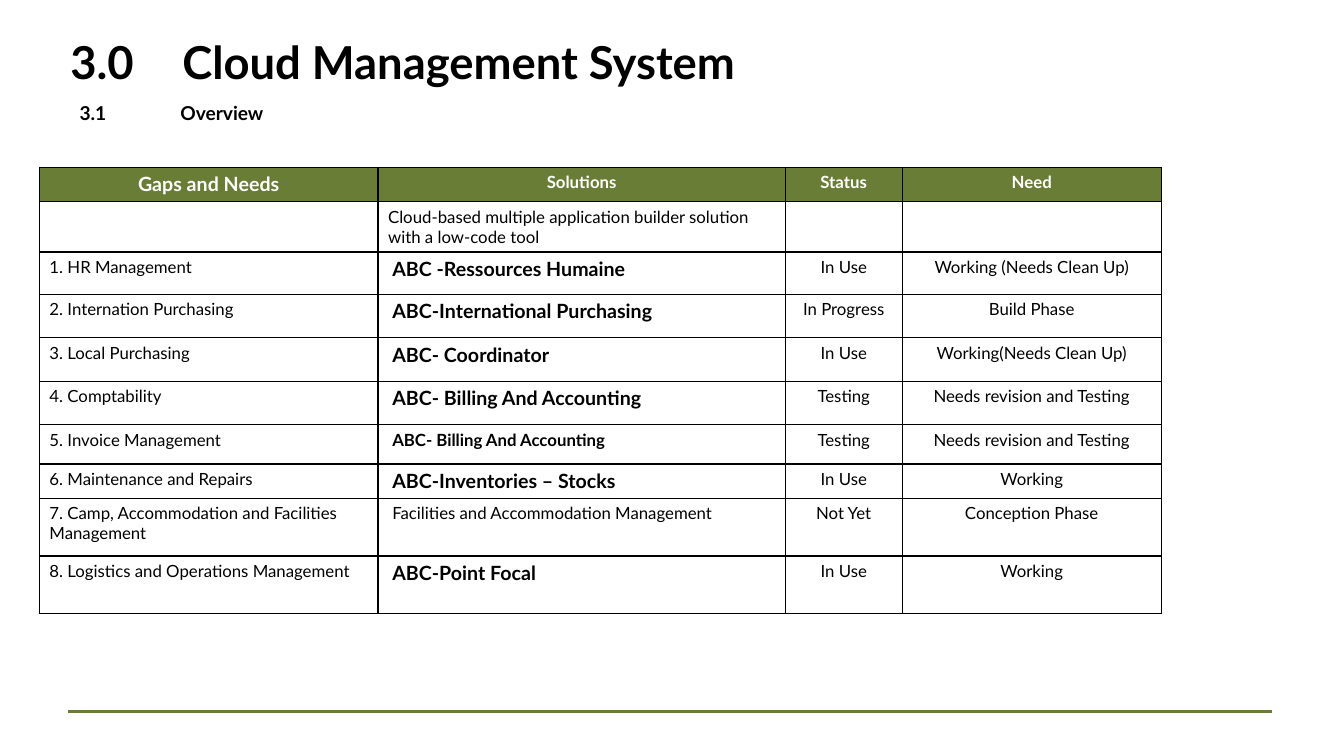
"""Build the Cloud Management System overview slide."""
from dataclasses import dataclass

from lxml.etree import SubElement
from pptx import Presentation
from pptx.dml.color import RGBColor
from pptx.enum.shapes import MSO_CONNECTOR
from pptx.enum.text import MSO_ANCHOR, PP_ALIGN
from pptx.oxml.ns import qn
from pptx.slide import Slide
from pptx.table import _Cell
from pptx.text.text import _Paragraph
from pptx.util import Emu, Inches, Pt

WIDTH, HEIGHT = Inches(13.33), Inches(7.5)
FONT = "Lato"
BLACK, WHITE, OLIVE = "000000", "FFFFFF", "697D36"


@dataclass(frozen=True)
class Heading:
    text: str
    left: float
    top: float
    width: float
    height: float
    size: float
    tab: float


@dataclass(frozen=True)
class Entry:
    height: float
    gap: str
    solution: str
    status: str
    need: str
    size: float = 14
    bold: bool = True
    indent: float = 1.06


HEADINGS = (
    Heading("3.0\tCloud Management System", 4.5, 4.67, 87.4, 8.4, 32.4, 8.33),
    Heading("3.1\tOverview", 5.18, 13.07, 55.7, 5.07, 13.7, 7.5),
)
COLUMN_TITLES = ("Gaps and Needs", "Solutions", "Status", "Need")
COLUMN_WIDTHS = (25.2, 30.3, 8.7, 19.28)
HEADER_HEIGHT = 4.53
ENTRIES = (
    Entry(6.6, "", "Cloud-based multiple application builder solution with a low-code tool",
          "", "", 12, False, 0.75),
    Entry(5.6, "1. HR Management", "ABC -Ressources Humaine",
          "In Use", "Working (Needs Clean Up)"),
    Entry(5.75, "2. Internation Purchasing", "ABC-International Purchasing",
          "In Progress", "Build Phase"),
    Entry(5.75, "3. Local Purchasing", "ABC- Coordinator",
          "In Use", "Working(Needs Clean Up)"),
    Entry(5.75, "4. Comptability", "ABC- Billing And Accounting",
          "Testing", "Needs revision and Testing"),
    Entry(5.2, "5. Invoice Management", "ABC- Billing And Accounting",
          "Testing", "Needs revision and Testing", 12),
    Entry(4.53, "6. Maintenance and Repairs", "ABC-Inventories – Stocks",
          "In Use", "Working"),
    Entry(7.65, "7. Camp, Accommodation and Facilities Management",
          "Facilities and Accommodation Management",
          "Not Yet", "Conception Phase", 12, False),
    Entry(7.65, "8. Logistics and Operations Management", "ABC-Point Focal",
          "In Use", "Working"),
)


def across(percent: float) -> Emu:
    """Return a share of the slide width."""
    return Emu(round(WIDTH * percent / 100))


def down(percent: float) -> Emu:
    """Return a share of the slide height."""
    return Emu(round(HEIGHT * percent / 100))


def color(code: str) -> RGBColor:
    """Turn a hex string into a colour."""
    return RGBColor.from_string(code)


def style(paragraph: _Paragraph, size: float, bold: bool, ink: str = BLACK) -> None:
    """Set the font of a whole paragraph."""
    font = paragraph.font
    font.name, font.size, font.bold = FONT, Pt(size), bold
    font.color.rgb = color(ink)


def add_heading(slide: Slide, heading: Heading) -> None:
    """Draw a numbered heading with its tab stop."""
    box = slide.shapes.add_textbox(across(heading.left), down(heading.top),
                                   across(heading.width), down(heading.height))
    frame = box.text_frame
    frame.word_wrap = True
    frame.vertical_anchor = MSO_ANCHOR.TOP
    paragraph = frame.paragraphs[0]
    paragraph.text = heading.text
    paragraph.line_spacing = 0.9
    tabs = SubElement(paragraph._p.get_or_add_pPr(), qn("a:tabLst"))
    SubElement(tabs, qn("a:tab"), pos=str(across(heading.tab)), algn="l")
    style(paragraph, heading.size, True)


def add_borders(cell: _Cell) -> None:
    """Put a thin black line on each side of a cell, ahead of its fill."""
    properties = cell._tc.get_or_add_tcPr()
    for position, side in enumerate(("lnL", "lnR", "lnT", "lnB")):
        line = SubElement(properties, qn(f"a:{side}"), w=str(Pt(1)))
        fill = SubElement(line, qn("a:solidFill"))
        SubElement(fill, qn("a:srgbClr"), val=BLACK)
        properties.insert(position, line)


def fill_cell(cell: _Cell, text: str, size: float = 12, bold: bool = False,
              centred: bool = False, ink: str = BLACK, back: str = WHITE) -> None:
    """Write and colour one table cell."""
    cell.fill.solid()
    cell.fill.fore_color.rgb = color(back)
    add_borders(cell)
    paragraph = cell.text_frame.paragraphs[0]
    paragraph.text = text
    paragraph.alignment = PP_ALIGN.CENTER if centred else PP_ALIGN.LEFT
    style(paragraph, size, bold, ink)


def add_solutions(slide: Slide) -> None:
    """Draw the table of gaps, solutions, status and needs."""
    heights = (HEADER_HEIGHT, *(entry.height for entry in ENTRIES))
    table = slide.shapes.add_table(
        len(heights), len(COLUMN_WIDTHS), across(2.93), down(22.13),
        across(sum(COLUMN_WIDTHS)), down(sum(heights))).table
    for column, width in zip(table.columns, COLUMN_WIDTHS):
        column.width = across(width)
    for row, height in zip(table.rows, heights):
        row.height = down(height)
    for index, title in enumerate(COLUMN_TITLES):
        fill_cell(table.cell(0, index), title, 12 if index else 14, True, True, WHITE, OLIVE)
    for index, entry in enumerate(ENTRIES, start=1):
        gap, solution, status, need = table.rows[index].cells
        fill_cell(gap, entry.gap)
        fill_cell(solution, entry.solution, entry.size, entry.bold)
        solution.margin_left = across(entry.indent)
        fill_cell(status, entry.status, centred=True)
        fill_cell(need, entry.need, centred=True)


def add_footer_rule(slide: Slide) -> None:
    """Draw the olive line near the bottom of the slide."""
    rule = slide.shapes.add_connector(MSO_CONNECTOR.STRAIGHT, across(5.05), down(94.15),
                                      across(94.65), down(94.15))
    rule.line.color.rgb = color(OLIVE)
    rule.line.width = Pt(2)
    SubElement(rule._element.spPr, qn("a:effectLst"))


def main() -> None:
    """Build and save the slide."""
    deck = Presentation()
    deck.slide_width, deck.slide_height = WIDTH, HEIGHT
    slide = deck.slides.add_slide(deck.slide_layouts[6])
    for heading in HEADINGS:
        add_heading(slide, heading)
    add_solutions(slide)
    add_footer_rule(slide)
    deck.save("out.pptx")


if __name__ == "__main__":
    main()
